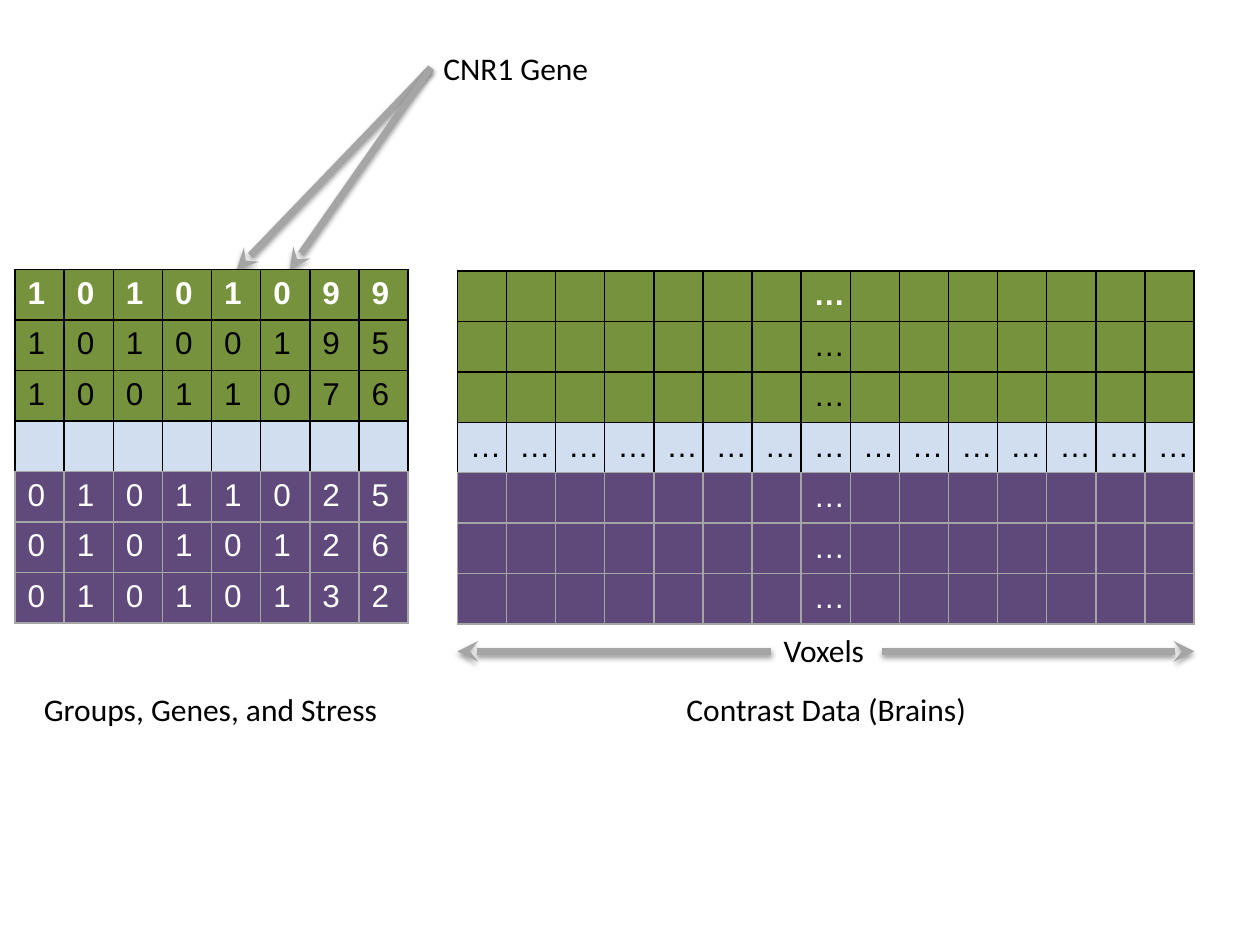
import pptx
import pptx.dml.color
import pptx.enum.shapes
import pptx.oxml
import pptx.oxml.ns
import pptx.util

Inches = pptx.util.Inches
Pt = pptx.util.Pt
RGBColor = pptx.dml.color.RGBColor

BLACK = RGBColor(0x00, 0x00, 0x00)
WHITE = RGBColor(0xFF, 0xFF, 0xFF)
GRAY = RGBColor(0xA5, 0xA5, 0xA5)
GREEN = RGBColor(0x76, 0x92, 0x3C)
BLUE = RGBColor(0xD0, 0xDE, 0xEF)
PURPLE = RGBColor(0x60, 0x4A, 0x7B)
PLUM = RGBColor(0x5F, 0x49, 0x7A)

NS = pptx.oxml.ns.nsdecls("a")
SIZE = Pt(18)
COL = 0.39
ROW = 0.38
GAP_ROW = 3  # row between the two groups

SCORES = ["10101099", "10100195", "10011076", " " * 8,
          "01011025", "01010126", "01010132"]
DOTS = [" " * 7 + "…" + " " * 7] * 3
VOXELS = DOTS + ["…" * 15] + DOTS


def add_label(slide, text, left, top, width):
    box = slide.shapes.add_textbox(
        Inches(left), Inches(top), Inches(width), Inches(0.4))
    frame = box.text_frame
    frame.word_wrap = True
    frame.text = text
    font = frame.paragraphs[0].runs[0].font
    font.name = "Calibri"
    font.size = SIZE
    font.color.rgb = BLACK


def add_arrow(slide, start, end):
    line = slide.shapes.add_connector(
        pptx.enum.shapes.MSO_CONNECTOR.STRAIGHT,
        *[Inches(value) for value in (*start, *end)])
    line.line.color.rgb = GRAY
    line.line.width = Pt(4)
    line.line._get_or_add_ln().append(
        pptx.oxml.parse_xml(f'<a:tailEnd {NS} type="stealth"/>'))
    line._element.spPr.append(pptx.oxml.parse_xml(
        f'<a:effectLst {NS}><a:outerShdw blurRad="{Pt(3.1)}" '
        f'dist="{Pt(1.6)}" dir="5400000" rotWithShape="0">'
        '<a:srgbClr val="000000"><a:alpha val="38000"/></a:srgbClr>'
        '</a:outerShdw></a:effectLst>'))


def set_borders(cell, side, base):
    """Draw three edges in the side colour and the bottom edge in base."""
    props = cell._tc.get_or_add_tcPr()
    edges = {"lnL": side, "lnR": side, "lnT": side, "lnB": base}
    for place, (tag, color) in enumerate(edges.items()):
        props.insert(place, pptx.oxml.parse_xml(
            f'<a:{tag} {NS} w="{Pt(1)}"><a:solidFill>'
            f'<a:srgbClr val="{color}"/></a:solidFill></a:{tag}>'))


def set_text(cell, text, color, bold):
    para = cell.text_frame.paragraphs[0]
    if not text:
        para._p.append(pptx.oxml.parse_xml(
            f'<a:endParaRPr {NS} sz="1800"><a:latin typeface="Arial"/>'
            '</a:endParaRPr>'))
        return
    para.text = text
    font = para.runs[0].font
    font.name = "Arial"
    font.size = SIZE
    font.bold = bold
    font.color.rgb = color


def add_grid(slide, rows, left, top, lower):
    """Place one character per cell; lower fills the second group."""
    count = len(rows[0])
    table = slide.shapes.add_table(
        len(rows), count, Inches(left), Inches(top),
        Inches(COL * count), Inches(ROW * len(rows))).table
    table.first_row = False
    table.horz_banding = False
    for column in table.columns:
        column.width = Inches(COL)
    for r, row in enumerate(rows):
        table.rows[r].height = Inches(ROW)
        if r < GAP_ROW:
            fill, side, base = GREEN, BLACK, BLACK
        elif r == GAP_ROW:
            fill, side, base = BLUE, BLACK, GRAY
        else:
            fill, side, base = lower, GRAY, GRAY
        color = WHITE if r == 0 or r > GAP_ROW else BLACK
        for c, text in enumerate(row):
            cell = table.cell(r, c)
            cell.fill.solid()
            cell.fill.fore_color.rgb = fill
            set_borders(cell, side, base)
            set_text(cell, text.strip(), color, r == 0)


def add_genes(slide, left, top):
    add_label(slide, "CNR1 Gene", 3.42, 0.34, 1.36)
    for tip in (1.88, 2.3):
        add_arrow(slide, (3.42, 0.54), (tip, top))
    add_grid(slide, SCORES, left, top, PURPLE)
    add_label(slide, "Groups, Genes, and Stress", left + 0.13, 5.43, 2.88)


def add_brains(slide, left, top):
    add_grid(slide, VOXELS, left, top, PLUM)
    add_label(slide, "Voxels", 6.12, 4.96, 0.88)
    add_arrow(slide, (6.12, 5.17), (left, 5.17))
    add_arrow(slide, (7, 5.17), (left + COL * 15, 5.17))
    add_label(slide, "Contrast Data (Brains)", 5.35, 5.43, 2.46)


def main():
    deck = pptx.Presentation()
    deck.slide_width = Inches(10)
    deck.slide_height = Inches(7.5)
    slide = deck.slides.add_slide(deck.slide_layouts[6])
    add_genes(slide, 0.12, 2.14)
    add_brains(slide, 3.63, 2.15)
    deck.save("out.pptx")


if __name__ == "__main__":
    main()
